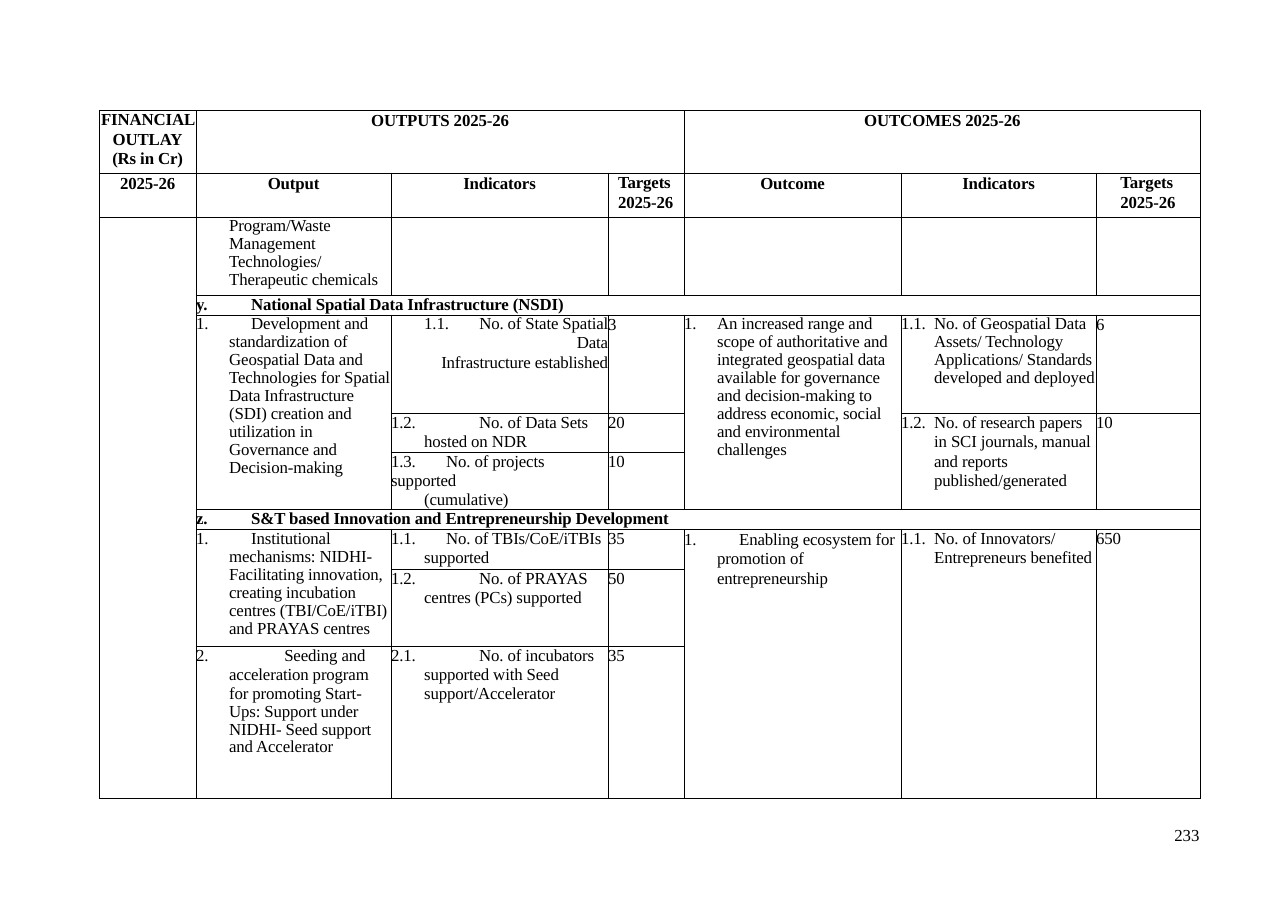
from lxml.etree import SubElement as Sub
from pptx import Presentation
from pptx.dml.color import RGBColor
from pptx.enum.text import PP_ALIGN as Align
from pptx.oxml.ns import qn
from pptx.util import Inches, Pt

BLACK = RGBColor(0, 0, 0)
FONT = "Times New Roman"
SIZE = 11
WIDTHS = [0.88, 1.77, 1.97, 0.69, 1.97, 1.77, 0.95]
HEIGHTS = [0.57, 0.4, 0.71, 0.18, 0.89, 0.36, 0.36, 0.18, 0.36, 0.7, 1.38]

# style: left indent, first-line indent, tab stop, alignment, bold
STYLES = {
    "head": (0, 0, None, Align.CENTER, True),
    "near": (0.09, 0, None, Align.LEFT, True),
    "far": (0.22, 0, None, Align.LEFT, True),
    "band": (0, 0, 0.38, Align.LEFT, True),
    "item": (0, 0, 0.38, Align.LEFT, False),
    "body": (0.3, 0, None, Align.LEFT, False),
    "hang": (0.3, -0.3, 0.38, Align.LEFT, False),
    "num": (0.3, -0.3, 0.3, Align.LEFT, False),
    "right": (0, 0, 0.37, Align.RIGHT, False),
    "plain": (0, 0, None, Align.LEFT, False),
}

SPANS = [
    (0, 1, 1, 3), (0, 4, 1, 3), (2, 0, 9, 1), (3, 1, 1, 6), (4, 1, 3, 1),
    (4, 4, 3, 1), (5, 5, 2, 1), (5, 6, 2, 1), (7, 1, 1, 6), (8, 1, 2, 1),
    (8, 4, 3, 1), (8, 5, 3, 1), (8, 6, 3, 1),
]

CELLS = {
    (0, 0): [("head", 12.7, "FINANCIAL OUTLAY"), ("head", 12.4, "(Rs in Cr)")],
    (0, 1): [("head", 13, "OUTPUTS 2025-26")],
    (0, 4): [("head", 13, "OUTCOMES 2025-26")],
    (1, 0): [("head", 13, "2025-26")],
    (1, 1): [("head", 13, "Output")],
    (1, 2): [("head", 13, "Indicators")],
    (1, 3): [("near", 12.7, "Targets 2025-26")],
    (1, 4): [("head", 13, "Outcome")],
    (1, 5): [("head", 13, "Indicators")],
    (1, 6): [("far", 12.7, "Targets 2025-26")],
    (2, 1): [("body", 12.1, "Program/Waste"),
             ("body", 0.95, "Management Technologies/ Therapeutic chemicals")],
    (3, 1): [("band", 12.2, "y.\tNational Spatial Data Infrastructure (NSDI)")],
    (4, 1): [("item", 12.1, "1.\tDevelopment and"),
             ("body", 0.96, "standardization of Geospatial Data and Technologies for "
              "Spatial Data Infrastructure (SDI) creation and utilization "
              "in Governance and Decision-making")],
    (4, 2): [("right", 12.1, "1.1.\tNo. of State Spatial Data"),
             ("right", 12.9, "Infrastructure established")],
    (4, 3): [("plain", 12.3, "3")],
    (4, 4): [("num", 0.96, "1.\tAn increased range and scope of authoritative and "
              "integrated geospatial data available for governance and "
              "decision-making to address economic, social and "
              "environmental challenges")],
    (4, 5): [("num", 12.1, "1.1.\tNo. of Geospatial Data"),
             ("body", 0.96, "Assets/ Technology Applications/ Standards "
              "developed and deployed")],
    (4, 6): [("plain", 12.3, "6")],
    (5, 2): [("hang", 12.5, "1.2.\t\tNo. of Data Sets hosted on NDR")],
    (5, 3): [("plain", 12.3, "20")],
    (5, 5): [("num", 12.5, "1.2.\tNo. of research papers in SCI journals, manual"),
             ("body", 12.7, "and reports published/generated")],
    (5, 6): [("plain", 12.3, "10")],
    (6, 2): [("item", 12.1, "1.3.\tNo. of projects supported"),
             ("body", 12.9, "(cumulative)")],
    (6, 3): [("plain", 12.3, "10")],
    (7, 1): [("band", 12.2,
              "z.\tS&T based Innovation and Entrepreneurship Development")],
    (8, 1): [("item", 12.1, "1.\tInstitutional"),
             ("body", 0.96, "mechanisms: NIDHI- Facilitating innovation, creating "
              "incubation centres (TBI/CoE/iTBI) and PRAYAS centres")],
    (8, 2): [("item", 12.1, "1.1.\tNo. of TBIs/CoE/iTBIs"),
             ("body", 12.9, "supported")],
    (8, 3): [("plain", 12.3, "35")],
    (8, 4): [("item", 12.8, "1.\tEnabling ecosystem for"),
             ("body", 12.7, "promotion of entrepreneurship")],
    (8, 5): [("num", 12.1, "1.1.\tNo. of Innovators/"),
             ("body", 12.9, "Entrepreneurs benefited")],
    (8, 6): [("plain", 12.3, "650")],
    (9, 2): [("hang", 12.5, "1.2.\t\tNo. of PRAYAS centres (PCs) supported")],
    (9, 3): [("plain", 12.5, "50")],
    (10, 1): [("hang", 12.5, "2.\t\tSeeding and acceleration program"),
              ("body", 12.2, "for promoting Start-"),
              ("body", 0.95, "Ups: Support under NIDHI- Seed support and Accelerator")],
    (10, 2): [("hang", 12.5, "2.1.\t\tNo. of incubators supported with Seed"),
              ("body", 12.4, "support/Accelerator")],
    (10, 3): [("plain", 12.5, "35")],
}


def write(frame, parts):
    for i, (style, gap, text) in enumerate(parts):
        left, first, stop, align, bold = STYLES[style]
        para = frame.add_paragraph() if i else frame.paragraphs[0]
        para.text = text
        props = para._p.get_or_add_pPr()
        props.set("marL", str(Inches(left)))
        props.set("indent", str(Inches(first)))
        if stop:
            tabs = Sub(props, qn("a:tabLst"))
            Sub(tabs, qn("a:tab"), pos=str(Inches(stop)), algn="l")
        para.alignment = align
        para.line_spacing = Pt(gap) if gap > 2 else gap
        for run in para.runs:
            font = run.font
            font.name, font.size, font.bold = FONT, Pt(SIZE), bold
            font.color.rgb = BLACK
            run._r.get_or_add_rPr().set("spc", "-10")


def frame_cell(cell):
    cell.margin_left = cell.margin_right = 0
    cell.margin_top = cell.margin_bottom = 0
    props = cell._tc.get_or_add_tcPr()
    for side in ("lnL", "lnR", "lnT", "lnB"):
        line = Sub(props, qn("a:" + side), w=str(Pt(0.5)))
        fill = Sub(line, qn("a:solidFill"))
        Sub(fill, qn("a:srgbClr"), val=str(BLACK))
    cell.fill.background()
    end = cell.text_frame.paragraphs[0]._p.get_or_add_endParaRPr()
    end.set("sz", str(SIZE * 100))


def add_grid(slide, left, top):
    shape = slide.shapes.add_table(
        len(HEIGHTS), len(WIDTHS), Inches(left), Inches(top),
        Inches(sum(WIDTHS)), Inches(sum(HEIGHTS)))
    table = shape.table
    table.first_row = table.horz_banding = False
    for col, width in zip(table.columns, WIDTHS):
        col.width = Inches(width)
    for row, height in zip(table.rows, HEIGHTS):
        row.height = Inches(height)
    for cell in table.iter_cells():
        frame_cell(cell)
    for row, col, down, across in SPANS:
        table.cell(row, col).merge(table.cell(row + down - 1, col + across - 1))
    for (row, col), parts in CELLS.items():
        write(table.cell(row, col).text_frame, parts)


def add_folio(slide, left, top, width, height):
    box = slide.shapes.add_textbox(
        Inches(left), Inches(top), Inches(width), Inches(height))
    frame = box.text_frame
    frame.word_wrap = True
    frame.margin_left = Inches(0.04)
    frame.margin_right = frame.margin_top = frame.margin_bottom = 0
    write(frame, [("plain", 13.1, "233")])


def main():
    deck = Presentation()
    deck.slide_width, deck.slide_height = Inches(11.69), Inches(8.26)
    slide = deck.slides.add_slide(deck.slide_layouts[6])
    add_grid(slide, 0.9, 1)
    add_folio(slide, 10.62, 7.49, 0.33, 0.2)
    deck.save("out.pptx")


if __name__ == "__main__":
    main()
